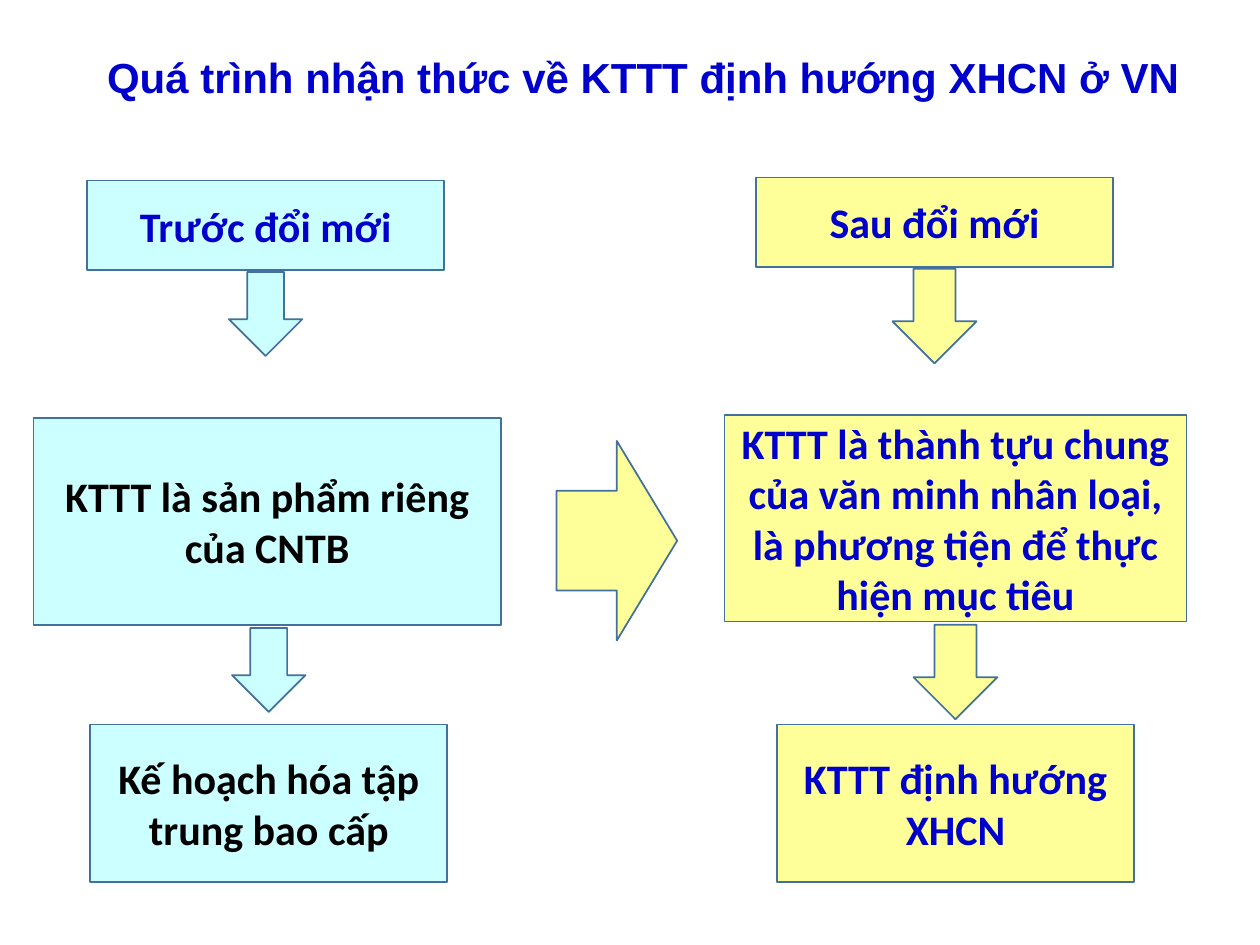
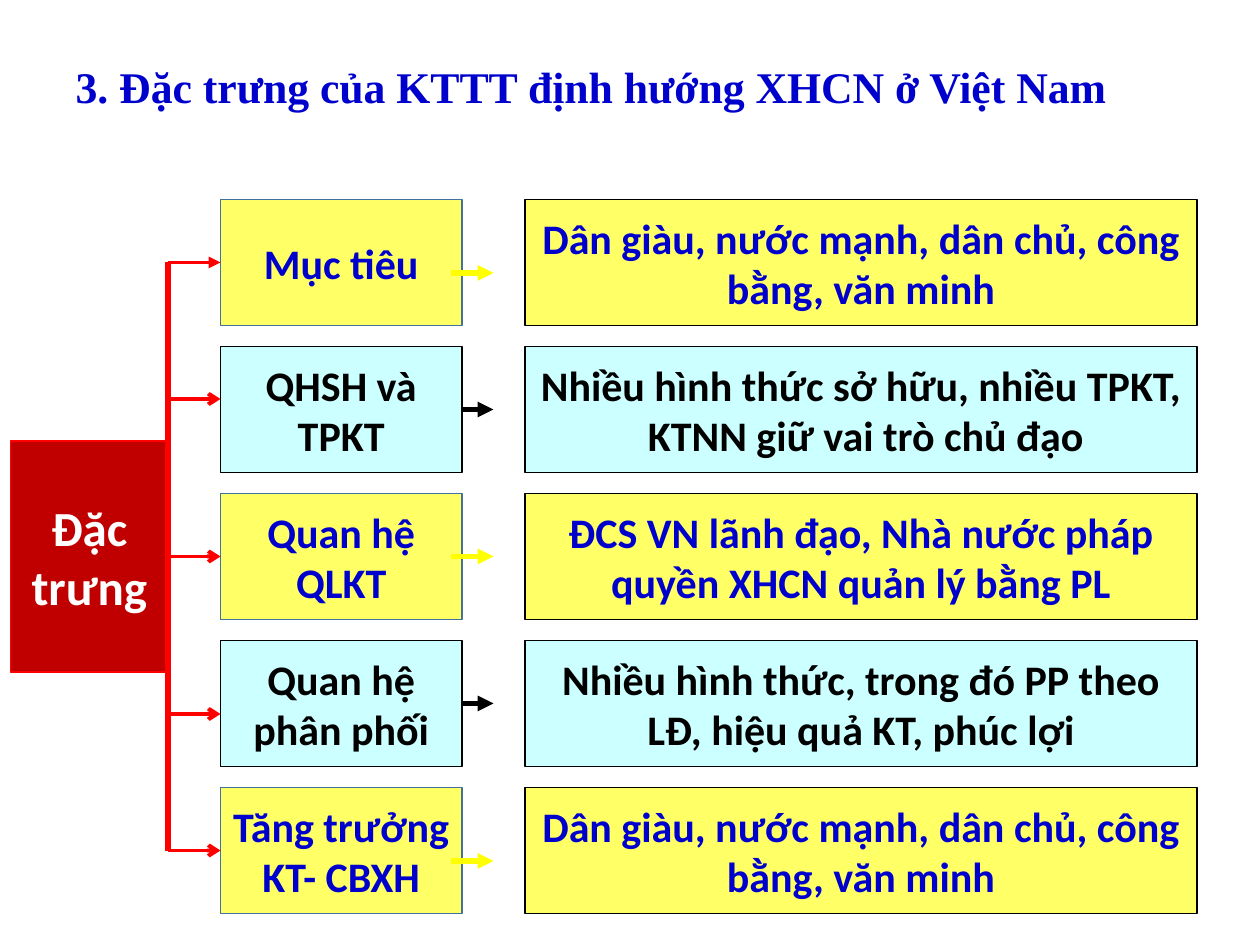
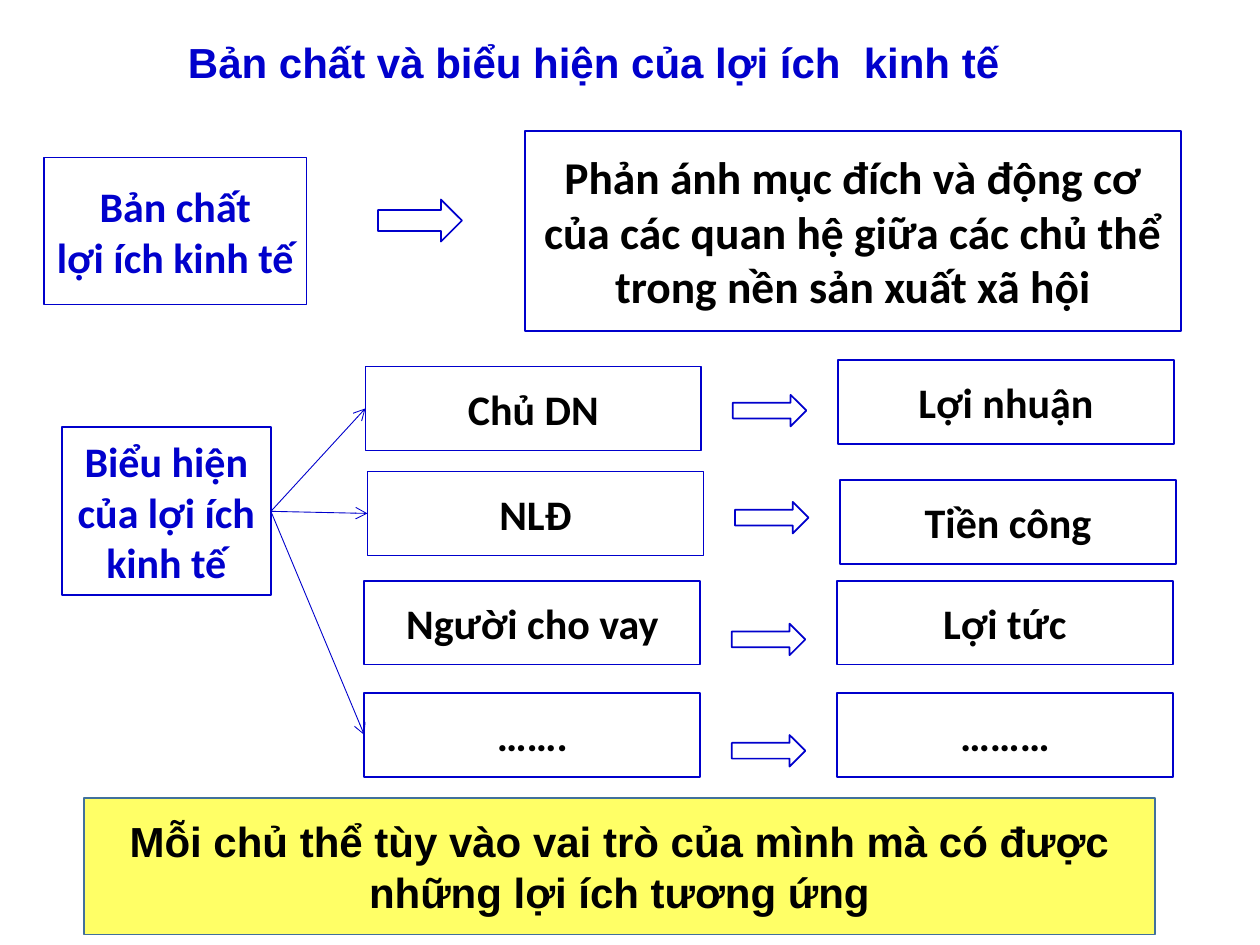
from lxml import etree
from pptx import Presentation
from pptx import util as u
from pptx.dml.color import RGBColor
from pptx.enum import shapes, text
from pptx.oxml import ns

WIDE, HIGH = u.Inches(10), u.Inches(7.5)
COL, ROW = WIDE / 120, HIGH / 90
BLUE, BLACK, WHITE, RED = "0000CC", "000000", "FFFFFF", "FF0000"
CYAN, PALE, LEMON, GOLD = "CCFFFF", "FFFF99", "FFFF66", "FFFF00"
EDGE, WINE = "41719C", "C00000"
KIND = shapes.MSO_SHAPE
ALIGN = text.PP_ALIGN
ANCHOR = text.MSO_ANCHOR


def paint(color, code):
    """Set a colour from a hex string."""
    color.rgb = RGBColor.from_string(code)


def place(box):
    """Turn grid columns and rows into slide lengths."""
    left, top, wide, high = box
    return [u.Emu(round(n)) for n in (left * COL, top * ROW, wide * COL, high * ROW)]


def write(frame, words, ink, size, face, align):
    """Write bold paragraphs in one style."""
    frame.word_wrap = True
    frame.text = words
    for para in frame.paragraphs:
        para.alignment = align
        font = para.font
        font.size, font.bold, font.name = u.Pt(size), True, face
        paint(font.color, ink)


def draw(slide, kind, box, fill, edge):
    """Add a flat shape."""
    shape = slide.shapes.add_shape(kind, *place(box))
    shape.shadow.inherit = False
    shape.fill.solid()
    paint(shape.fill.fore_color, fill)
    paint(shape.line.color, edge)
    shape.line.width = u.Pt(1)
    return shape


def card(slide, box, words, fill, edge, ink=BLACK, size=24, face="Calibri"):
    """Add a rectangle with centred text."""
    frame = draw(slide, KIND.RECTANGLE, box, fill, edge).text_frame
    frame.vertical_anchor = ANCHOR.MIDDLE
    write(frame, words, ink, size, face, ALIGN.CENTER)


def link(slide, start, end, ink, width, head=None):
    """Add a straight line with an optional arrowhead."""
    x1, y1, x2, y2 = place((*start, *end))
    line = slide.shapes.add_connector(shapes.MSO_CONNECTOR.STRAIGHT, x1, y1, x2, y2)
    paint(line.line.color, ink)
    line.line.width = u.Pt(width)
    props = line._element.spPr
    if head:
        etree.SubElement(props.find(ns.qn("a:ln")), ns.qn("a:tailEnd"), type=head)
    etree.SubElement(props, ns.qn("a:effectLst"))


def start(deck, words, box, size=24, face="Arial", align=ALIGN.LEFT, anchor=ANCHOR.TOP):
    """Add a slide with a styled title."""
    slide = deck.slides.add_slide(deck.slide_layouts[5])
    title = slide.shapes.title
    title.left, title.top, title.width, title.height = place(box)
    frame = title.text_frame
    frame.auto_size = text.MSO_AUTO_SIZE.NONE
    frame.vertical_anchor = anchor
    write(frame, words, BLUE, size, face, align)
    return slide


def track(slide, box, fill, shifts, arrow, steps):
    """Stack three cards joined by down arrows."""
    left, top, wide, high = box
    head, foot = (left + shift for shift in shifts)
    mid, base = top + 22.6, top + high - 15
    spots = ((head, top, 34, 8.5), (left, mid, wide, 19.7), (foot, base, 34, 15))
    for spot, (words, ink) in zip(spots, steps):
        card(slide, spot, words, fill, EDGE, ink)
    across, down = arrow
    for x, y in ((head, top + 8.7), (foot, mid + 20)):
        spot = (x + 17 - across / 2, y, across, down)
        draw(slide, KIND.DOWN_ARROW, spot, fill, EDGE)


def change(deck):
    """Build the slide on views before and after reform."""
    slide = start(deck, "Quá trình nhận thức về KTTT định hướng XHCN ở VN",
                  (9, 4.3, 111, 6), align=ALIGN.JUSTIFY)
    track(slide, (3.2, 17.2, 44.5, 66.8), CYAN, (5.1, 5.4), (7, 8), (
        ("Trước đổi mới", BLUE),
        ("KTTT là sản phẩm riêng của CNTB", BLACK),
        ("Kế hoạch hóa tập trung bao cấp", BLACK)))
    track(slide, (69, 16.9, 44, 67.1), PALE, (3, 5), (8, 9), (
        ("Sau đổi mới", BLUE),
        ("KTTT là thành tựu chung của văn minh nhân loại, "
         "là phương tiện để thực hiện mục tiêu", BLUE),
        ("KTTT định hướng XHCN", BLUE)))
    draw(slide, KIND.RIGHT_ARROW, (53, 42, 11.5, 19), PALE, EDGE)


def table(slide, box, rows):
    """Place label and detail cards in striped rows."""
    left, top, wide, high = box
    pitch = (high - 12) / (len(rows) - 1)
    for i, (label, detail, y) in enumerate(rows):
        odd = i % 2
        fill, ink = (CYAN, BLACK) if odd else (LEMON, BLUE)
        line = top + i * pitch
        card(slide, (left, line, 23, 12), label, fill, BLACK if odd else EDGE, ink)
        card(slide, (left + 29, line, wide - 29, 12), detail, fill, BLACK, ink)
        link(slide, (left + 22 + odd, y), (left + 26, y),
             BLACK if odd else GOLD, 3, "triangle")


def root(slide, box, words, ends):
    """Place the root card, its spine and its branches."""
    left, top, wide, high = box
    spine = left + wide
    card(slide, box, words, WINE, RED, WHITE, 28)
    link(slide, (spine, ends[-1]), (spine, ends[0]), RED, 3)
    for y in ends:
        head = "triangle" if y == ends[0] else "arrow"
        link(slide, (spine, y), (spine + 5, y), RED, 2.25, head)


def traits(deck):
    """Build the slide on the five traits."""
    slide = start(deck, "3. Đặc trưng của KTTT định hướng XHCN ở Việt Nam",
                  (6, 3, 108, 11), 25, "Times New Roman", anchor=ANCHOR.MIDDLE)
    slide.shapes.title.text_frame.paragraphs[0].line_spacing = 0.9
    goal = "Dân giàu, nước mạnh, dân chủ, công bằng, văn minh"
    table(slide, (21, 19, 93, 68), (
        ("Mục tiêu", goal, 26),
        ("QHSH và TPKT",
         "Nhiều hình thức sở hữu, nhiều TPKT,  KTNN giữ vai trò chủ đạo", 39),
        ("Quan hệ QLKT",
         "ĐCS VN lãnh đạo, Nhà nước pháp quyền XHCN quản lý bằng PL", 53),
        ("Quan hệ phân phối",
         "Nhiều hình thức, trong đó PP theo LĐ, hiệu quả KT, phúc lợi", 67),
        ("Tăng trưởng KT- CBXH", goal, 82)))
    root(slide, (1, 42, 15, 22), "Đặc trưng", (25, 38, 53, 68, 81))


def nature(slide, box):
    """Place the definition beside its label."""
    left, top, wide, high = box
    card(slide, (left, top + 2.5, 25, 14), "Bản chất\nlợi ích kinh tế",
         WHITE, BLUE, BLUE)
    draw(slide, KIND.RIGHT_ARROW, (left + 31.8, top + 6.5, 8, 4), WHITE, BLUE)
    card(slide, (left + wide - 62.5, top, 62.5, high),
         "Phản ánh mục đích và động cơ của các quan hệ giữa các chủ thể "
         "trong nền sản xuất xã hội", WHITE, BLUE, size=26)


def forms(slide, box, rows):
    """Fan out from a label to pairs of holder and gain."""
    left, top, wide, high = box
    hub = (left + wide, top + high / 2)
    card(slide, box, "Biểu hiện của lợi ích kinh tế", WHITE, BLUE, BLUE)
    for holder, gain, x, y, drop, dip, tied in rows:
        x, y = left + x, top + y
        card(slide, (x, y, 32, 8), holder, WHITE, BLUE)
        card(slide, (x + 45, y + drop, 32, 8), gain, WHITE, BLUE)
        draw(slide, KIND.RIGHT_ARROW, (x + 35, y + dip, 7, 3), WHITE, BLUE)
        if tied:
            link(slide, hub, (x, y + 4), BLUE, 0.5, "arrow")


def gains(deck):
    """Build the slide on economic interests."""
    slide = start(deck, "Bản chất và biểu hiện của lợi ích  kinh tế",
                  (16.7, 2.9, 86, 6))
    nature(slide, (4.2, 12.5, 108.3, 19))
    forms(slide, (5.9, 40.7, 19.9, 16), (
        ("Chủ DN", "Lợi nhuận", 28.9, -5.8, -0.6, 2.7, True),
        ("NLĐ", "Tiền công", 29.1, 4.2, 0.8, 2.9, True),
        ("Người cho vay", "Lợi tức", 28.8, 14.6, 0, 4.1, False),
        ("…….", "………", 28.8, 25.3, 0, 4, True)))
    card(slide, (8, 76, 102, 13),
         "Mỗi chủ thể tùy vào vai trò của mình mà có được "
         "những lợi ích tương ứng", LEMON, EDGE, face="Arial")


def main():
    """Build and save the deck."""
    deck = Presentation()
    deck.slide_width, deck.slide_height = WIDE, HIGH
    for build in (change, traits, gains):
        build(deck)
    deck.save("out.pptx")


if __name__ == "__main__":
    main()
